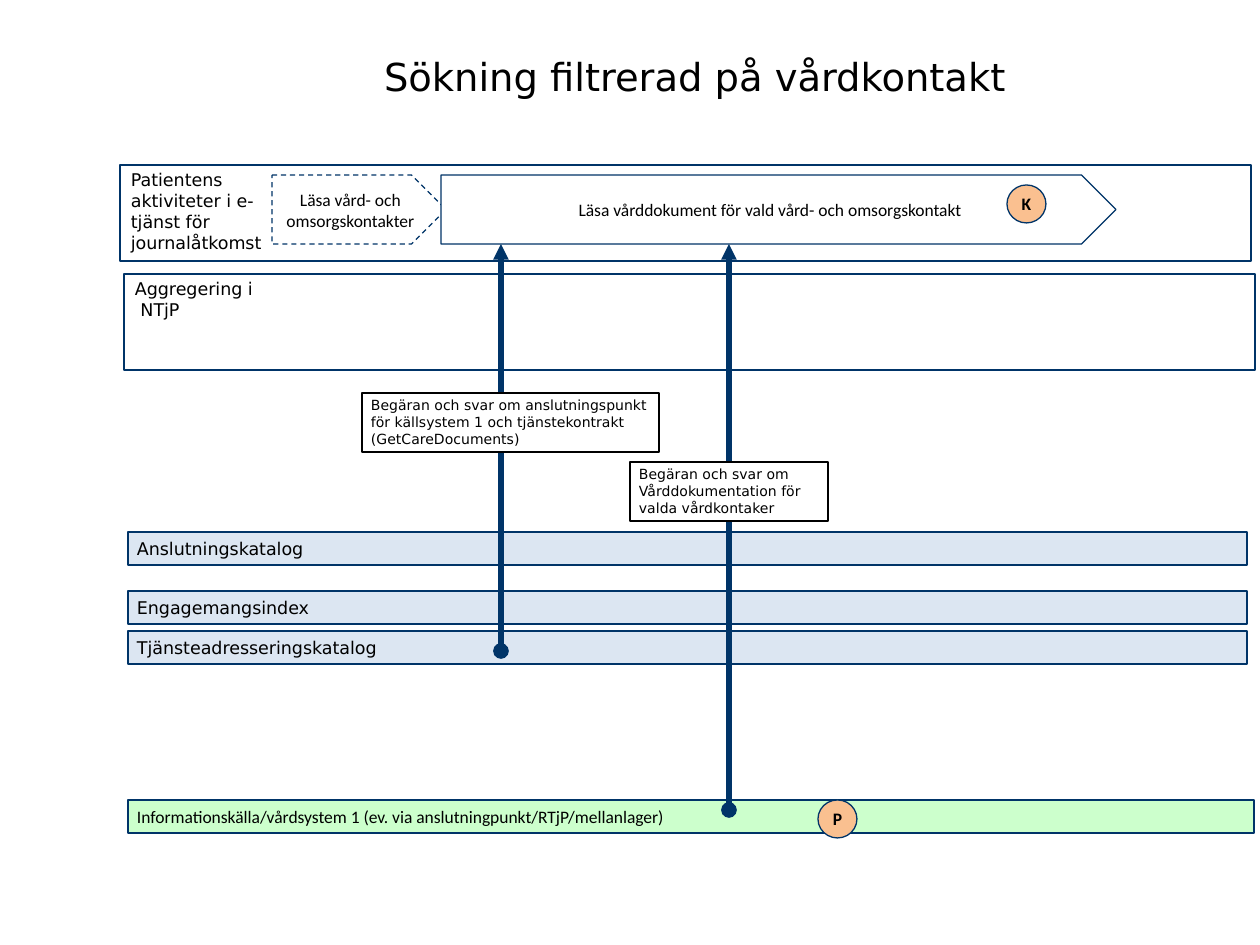
import pptx
import pptx.dml.color
import pptx.enum.dml
import pptx.enum.shapes
import pptx.enum.text
import pptx.oxml.ns
import pptx.util
from lxml import etree

SCALE = 914400 / 126
NAVY, BLACK, WHITE = "003468", "000000", "FFFFFF"
BLUE, GREEN, ORANGE = "DCE6F2", "CCFFCC", "FAC090"
SHAPES = pptx.enum.shapes.MSO_SHAPE
ANCHOR = pptx.enum.text.MSO_ANCHOR
ALIGN = pptx.enum.text.PP_ALIGN


def px(length):
    """Turn picture pixels into EMU."""
    return pptx.util.Emu(round(length * SCALE))


def color(hex_code):
    """Return the colour for a hex string."""
    return pptx.dml.color.RGBColor.from_string(hex_code)


def write(shape, text, size=10, font="DejaVu Sans", bold=False,
          align=ALIGN.LEFT, anchor=ANCHOR.MIDDLE, wrap=True):
    """Put formatted text in a shape."""
    frame = shape.text_frame
    frame.word_wrap = wrap
    frame.vertical_anchor = anchor
    frame.margin_left = frame.margin_right = px(9)
    frame.margin_top = frame.margin_bottom = px(4)
    paragraph = frame.paragraphs[0]
    paragraph.alignment = align
    run = paragraph.add_run()
    run.text = text
    run.font.size = pptx.util.Pt(size)
    run.font.name = font
    run.font.bold = bold
    run.font.color.rgb = color(BLACK)


def add_box(slide, box, kind=SHAPES.RECTANGLE, fill=None, line=NAVY, dashed=False):
    """Add an outlined preset shape."""
    shape = slide.shapes.add_shape(kind, *map(px, box))
    shape.shadow.inherit = False
    if fill:
        shape.fill.solid()
        shape.fill.fore_color.rgb = color(fill)
    else:
        shape.fill.background()
    shape.line.color.rgb = color(line)
    shape.line.width = pptx.util.Pt(0.75)
    if dashed:
        shape.line.dash_style = pptx.enum.dml.MSO_LINE.DASH
    return shape


def add_text(slide, box, text, **style):
    """Add a text box."""
    write(slide.shapes.add_textbox(*map(px, box)), text, **style)


def add_lane(slide, box, label, label_width):
    """Add an open lane with its label at the top left."""
    left, top, width, height = box
    add_text(slide, (left + 2, top, label_width, height), label, anchor=ANCHOR.TOP)
    add_box(slide, box)


def add_bar(slide, box, text, fill=BLUE, font="DejaVu Sans"):
    """Add a filled system bar."""
    write(add_box(slide, box, fill=fill), text, font=font)


def add_step(slide, box, text, dashed=False):
    """Add an activity arrow."""
    shape = add_box(slide, box, SHAPES.PENTAGON, WHITE, dashed=dashed)
    shape.adjustments[0] = 0.5
    write(shape, text, font="Calibri", align=ALIGN.CENTER)


def add_note(slide, box, text):
    """Add a bordered message note."""
    write(add_box(slide, box, fill=WHITE, line=BLACK), text, size=8, anchor=ANCHOR.TOP)


def add_badge(slide, left, top, letter):
    """Add a round badge with one letter."""
    shape = add_box(slide, (left, top, 39, 38), SHAPES.OVAL, ORANGE)
    write(shape, letter, font="Calibri", bold=True, align=ALIGN.CENTER, wrap=False)


def add_flow(slide, x, top, bottom):
    """Add a vertical line with an arrow on top and a dot below."""
    flow = slide.shapes.add_connector(
        pptx.enum.shapes.MSO_CONNECTOR.STRAIGHT, px(x), px(top), px(x), px(bottom))
    flow.line.color.rgb = color(NAVY)
    flow.line.width = pptx.util.Pt(3)
    outline = flow.line._get_or_add_ln()
    for tag, kind in (("a:headEnd", "triangle"), ("a:tailEnd", "oval")):
        etree.SubElement(outline, pptx.oxml.ns.qn(tag), type=kind)
    etree.SubElement(flow._element.spPr, pptx.oxml.ns.qn("a:effectLst"))


def build_slide(slide):
    """Place all parts of the search diagram."""
    add_text(slide, (375, 37, 835, 79), "Sökning filtrerad på vårdkontakt", size=22)
    add_lane(slide, (124, 274, 1131, 96), "Aggregering i \u00a0NTjP", 139)
    add_lane(slide, (120, 165, 1131, 96),
             "Patientens aktiviteter i e-tjänst för journalåtkomst", 154)
    for top, name in ((532, "Anslutningskatalog"), (591, "Engagemangsindex"),
                      (631, "Tjänsteadresseringskatalog")):
        add_bar(slide, (128, top, 1119, 33), name)
    add_bar(slide, (128, 800, 1126, 33),
            "Informationskälla/vårdsystem 1 (ev. via anslutningpunkt/RTjP/mellanlager)",
            fill=GREEN, font="Calibri")
    add_step(slide, (272, 175, 174, 69), "Läsa vård- och omsorgskontakter", dashed=True)
    add_flow(slide, 501, 244, 651)
    add_note(slide, (362, 393, 297, 59),
             "Begäran och svar om anslutningspunkt för källsystem 1 och "
             "tjänstekontrakt (GetCareDocuments)")
    add_flow(slide, 729, 244, 810)
    add_note(slide, (630, 462, 198, 59),
             "Begäran och svar om Vårddokumentation för valda vårdkontaker")
    add_step(slide, (441, 175, 675, 69),
             "Läsa vårddokument för vald vård- och omsorgskontakt")
    add_badge(slide, 818, 800, "P")
    add_badge(slide, 1007, 185, "K")


presentation = pptx.Presentation()
presentation.slide_width = px(1260)
presentation.slide_height = px(945)
build_slide(presentation.slides.add_slide(presentation.slide_layouts[6]))
presentation.save("out.pptx")
